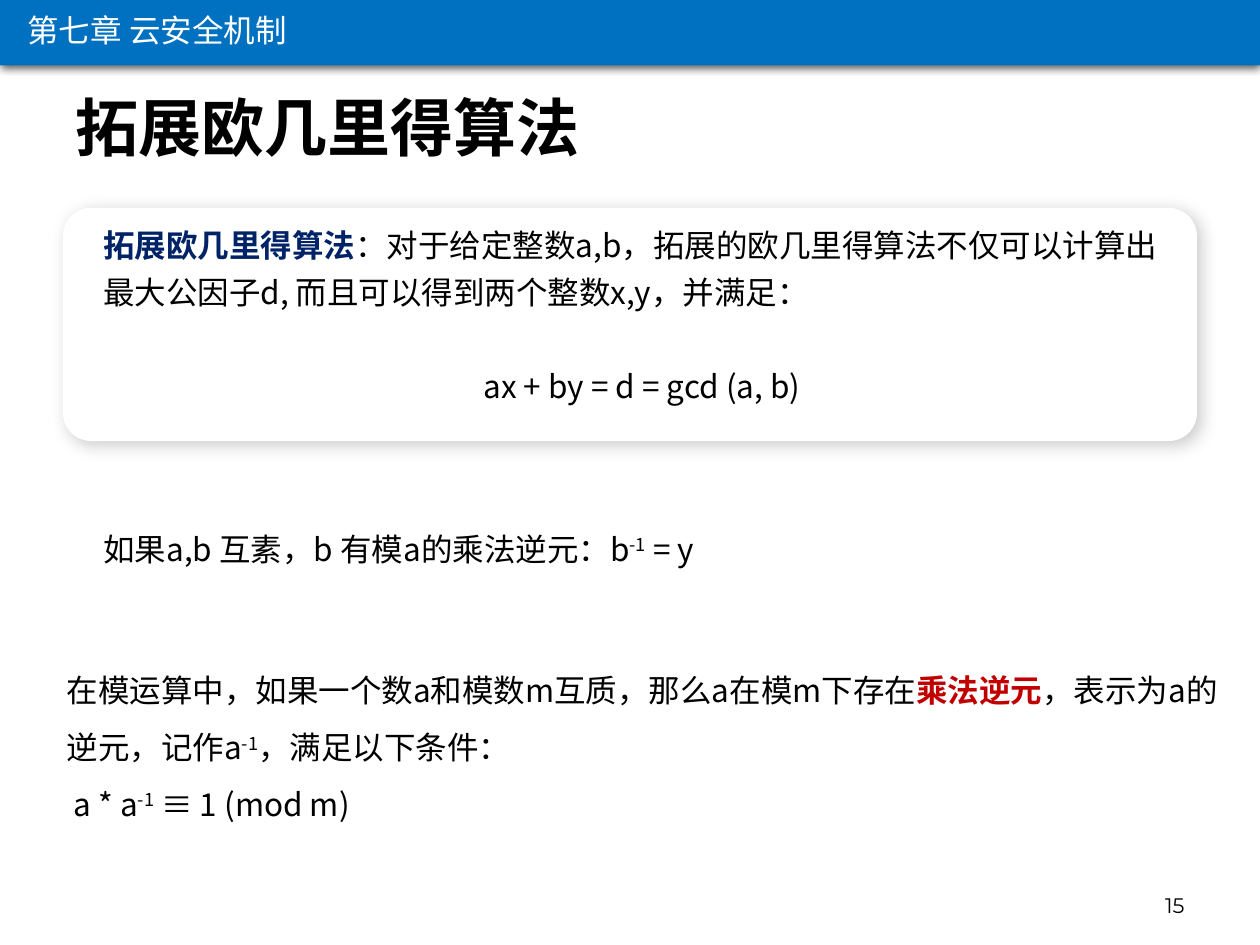
from dataclasses import dataclass

from lxml import etree
from pptx import Presentation
from pptx import util as u
from pptx.dml import color
from pptx.enum import shapes, text
from pptx.oxml import ns


@dataclass(frozen=True)
class Theme:
    """Colours, fonts and type sizes of the slide."""
    black: str = "000000"
    white: str = "FFFFFF"
    band: str = "0070C0"
    term: str = "002368"
    accent: str = "C00000"
    font: str = "Noto Sans CJK SC"
    number_font: str = "Montserrat"
    title: int = 36
    body: int = 18
    number: int = 12


THEME = Theme()


def place(shape, left, top, width, height):
    """Set the position and size of a shape in inches."""
    shape.left, shape.top = u.Inches(left), u.Inches(top)
    shape.width, shape.height = u.Inches(width), u.Inches(height)


def add_run(paragraph, words, colour=THEME.black, size=THEME.body, bold=False,
            raised=False, font=THEME.font):
    """Add one formatted run, in the same font for Latin and Chinese."""
    run = paragraph.add_run()
    run.text = words
    run.font.name, run.font.size, run.font.bold = font, u.Pt(size), bold
    run.font.color.rgb = color.RGBColor.from_string(colour)
    properties = run._r.get_or_add_rPr()
    etree.SubElement(properties, ns.qn("a:ea"), typeface=font)
    if raised:
        properties.set("baseline", "30000")


def add_paragraph(frame, runs, spacing=1.0, align=text.PP_ALIGN.LEFT, before=0):
    """Fill the empty first paragraph or a new one with (words, options) runs."""
    first = frame.paragraphs[0]
    paragraph = frame.add_paragraph() if first.runs else first
    paragraph.alignment, paragraph.line_spacing = align, spacing
    paragraph.space_before = u.Pt(before)
    for words, options in runs:
        add_run(paragraph, words, **options)


def add_text_box(slide, box, wrap=True, anchor=text.MSO_ANCHOR.TOP):
    """Add a text box and return its text frame."""
    frame = slide.shapes.add_textbox(*map(u.Inches, box)).text_frame
    frame.word_wrap, frame.vertical_anchor = wrap, anchor
    return frame


def add_panel(slide, kind, box, fill):
    """Add a filled shape without outline or shadow."""
    shape = slide.shapes.add_shape(kind, *map(u.Inches, box))
    shape.fill.solid()
    shape.fill.fore_color.rgb = color.RGBColor.from_string(fill)
    shape.line.fill.background()
    shape.shadow.inherit = False
    return shape


def cast_shadow(shape, opacity, blur, distance, angle):
    """Give a shape an outer shadow."""
    effects = shape._element.spPr.find(ns.qn("a:effectLst"))
    shadow = etree.SubElement(
        effects, ns.qn("a:outerShdw"), blurRad=str(u.Pt(blur)),
        dist=str(u.Pt(distance)), dir=str(angle * 60000), algn="ctr", rotWithShape="0")
    tint = etree.SubElement(shadow, ns.qn("a:srgbClr"), val=THEME.black)
    etree.SubElement(tint, ns.qn("a:alpha"), val=str(opacity * 1000))


def add_title(slide, words):
    """Place and format the title placeholder."""
    title = slide.shapes.title
    place(title, 0.5, 0.5, 9, 1)
    frame = title.text_frame
    frame.auto_size = text.MSO_AUTO_SIZE.NONE
    frame.vertical_anchor = text.MSO_ANCHOR.MIDDLE
    add_paragraph(frame, [(words, {"size": THEME.title, "bold": True})])


def add_chapter_band(slide, words):
    """Add the coloured band with the chapter name on its white backing."""
    rectangle = shapes.MSO_SHAPE.RECTANGLE
    backing = add_panel(slide, rectangle, (0.01, 0.01, 9.97, 0.63), THEME.white)
    backing.line.color.rgb = color.RGBColor.from_string(THEME.white)
    backing.line.width = u.Pt(2)
    band = add_panel(slide, rectangle, (0, -0.02, 10, 0.54), THEME.band)
    cast_shadow(band, 63, 4.5, 1.5, 90)
    frame = add_text_box(slide, (0.12, 0.04, 2.27, 0.4), wrap=False)
    add_paragraph(frame, [(words, {"colour": THEME.white})])


def add_definition(slide):
    """Add the card that defines the algorithm."""
    card = add_panel(slide, shapes.MSO_SHAPE.ROUNDED_RECTANGLE, (0.5, 1.65, 9, 1.85),
                     THEME.white)
    card.adjustments[0] = 0.12
    cast_shadow(card, 20, 9, 3, 45)
    frame = add_text_box(slide, (0.72, 1.67, 8.75, 1.58))
    add_paragraph(frame, [
        ("拓展欧几里得算法", {"colour": THEME.term, "bold": True}),
        ("：对于给定整数a,b，拓展的欧几里得算法不仅可以计算出最大公因子d, "
         "而且可以得到两个整数x,y，并满足：", {}),
    ], 1.25)
    add_paragraph(frame, [("ax + by = d = gcd (a, b)", {})], 1.25,
                  text.PP_ALIGN.CENTER, before=26.5)


def add_inverse_notes(slide):
    """Add the two explanations of the multiplicative inverse."""
    power = ("-1", {"raised": True})
    frame = add_text_box(slide, (0.33, 4.08, 5.67, 0.45))
    add_paragraph(frame, [("如果a,b 互素，b 有模a的乘法逆元：b", {}), power, (" = y", {})],
                  1.25, text.PP_ALIGN.CENTER)
    frame = add_text_box(slide, (0.43, 5.13, 9.34, 1.77))
    add_paragraph(frame, [
        ("在模运算中，如果一个数a和模数m互质，那么a在模m下存在", {}),
        ("乘法逆元", {"colour": THEME.accent, "bold": True}),
        ("，表示为a的逆元，记作a", {}), power, ("，满足以下条件：", {}),
    ], 1.5)
    add_paragraph(frame, [(" a * a", {}), power, (" ≡ 1 (mod m)", {})], 1.5)


def add_page_number(slide, number):
    """Add the page number at the lower right."""
    frame = add_text_box(slide, (7.17, 6.83, 2.33, 0.5), anchor=text.MSO_ANCHOR.BOTTOM)
    add_paragraph(frame, [(number, {"size": THEME.number, "font": THEME.number_font})],
                  align=text.PP_ALIGN.RIGHT)


def main():
    """Build the slide and save it."""
    presentation = Presentation()
    presentation.slide_width, presentation.slide_height = u.Inches(10), u.Inches(7.5)
    slide = presentation.slides.add_slide(presentation.slide_layouts[5])
    add_title(slide, "拓展欧几里得算法")
    add_chapter_band(slide, "第七章 云安全机制")
    add_definition(slide)
    add_inverse_notes(slide)
    add_page_number(slide, "15")
    presentation.save("out.pptx")


if __name__ == "__main__":
    main()
